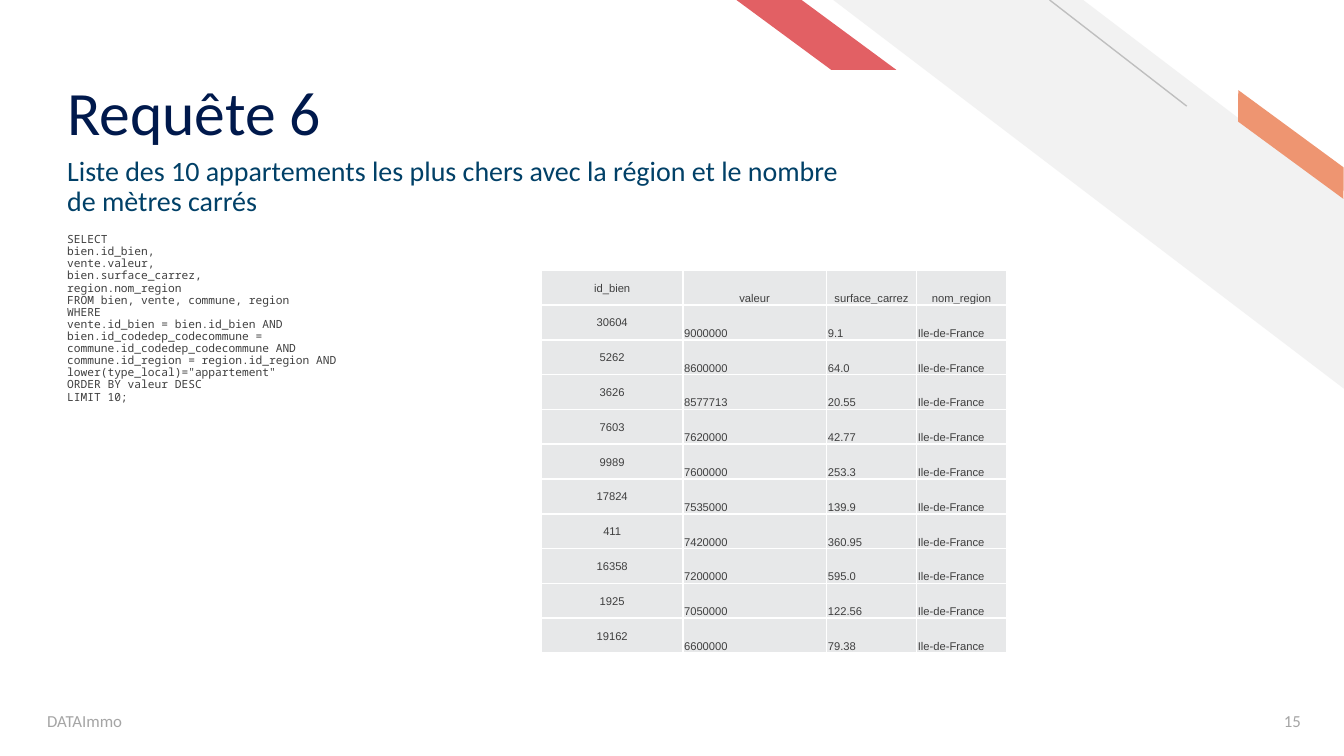
from lxml.etree import SubElement
from pptx import Presentation
from pptx.dml.color import RGBColor
from pptx.enum.shapes import MSO_CONNECTOR, MSO_SHAPE
from pptx.enum.text import MSO_ANCHOR, PP_ALIGN
from pptx.oxml.ns import qn
from pptx.util import Inches, Pt

# Content
TITLE = "Requête 6"
SUBTITLE = ("Liste des 10 appartements les plus chers avec la région "
            "et le nombre de mètres carrés")
FOOTER, PAGE = "DATAImmo", "15"
QUERY = """SELECT
bien.id_bien,
vente.valeur,
bien.surface_carrez,
region.nom_region
FROM bien, vente, commune, region
WHERE
vente.id_bien = bien.id_bien AND
bien.id_codedep_codecommune = commune.id_codedep_codecommune AND
commune.id_region = region.id_region AND
lower(type_local)="appartement"
ORDER BY valeur DESC
LIMIT 10;"""
HEADERS = ("id_bien", "valeur", "surface_carrez", "nom_region")
REGION = "Ile-de-France"
SALES = [
    ("30604", "9000000", "9.1"),
    ("5262", "8600000", "64.0"),
    ("3626", "8577713", "20.55"),
    ("7603", "7620000", "42.77"),
    ("9989", "7600000", "253.3"),
    ("17824", "7535000", "139.9"),
    ("411", "7420000", "360.95"),
    ("16358", "7200000", "595.0"),
    ("1925", "7050000", "122.56"),
    ("19162", "6600000", "79.38"),
]

# Theme: (font, size, colour) for text, plain colours for the rest
THEME = {
    "title": ("Calibri", 33, "00194C"),
    "subtitle": ("Calibri", 15, "014067"),
    "footer": ("Calibri", 9, "A5A5A5"),
    "code": ("Noto Sans Mono", 6, "3F3F3F"),
    "cell": ("Arial", 6, "3F3F3F"),
    "band": "F2F2F2", "thin_line": "BFBFBF", "orange": "EE9571",
    "red": "E26064", "cell_fill": "E7E8E9", "border": "FFFFFF",
}

# Layout, in inches, on a 16:9 slide
W = 10
H = W * 9 / 16
LEFT = 0.43
FOOT_Y, FOOT_H = 5.21, 0.3
TABLE_X, TABLE_Y, TABLE_H = 4.03, 2.01, 2.85
COL_WIDTHS = (1.05, 1.07, 0.67, 0.67)

# preset, box, adjustment, rotation, colour
STRIPES = [
    (MSO_SHAPE.DIAGONAL_STRIPE, (6.2, 0, 3.81, 2.9), 0.512, 0, "band"),
    (MSO_SHAPE.PARALLELOGRAM, (9.05, 0.98, 1.11, 0.19), 0.72, 36.3, "orange"),
    (MSO_SHAPE.PARALLELOGRAM, (5.48, 0, 1.19, 0.52), 1.356, 0, "red"),
]
# text, box, style, paragraph and frame formats
TEXTS = [
    (TITLE, (LEFT, 0.17, 6.83, 0.94), "title", {"line_spacing": 0.9},
     {"vertical_anchor": MSO_ANCHOR.BOTTOM, "margin_bottom": 0}),
    (SUBTITLE, (LEFT, 1.13, 6.04, 0.5), "subtitle", {"line_spacing": 0.9}, {}),
    (QUERY, (LEFT, 1.7, 2.77, 3.29), "code", {"line_spacing": 0.9}, {}),
    (FOOTER, (0.28, FOOT_Y, 3.38, FOOT_H), "footer", {},
     {"vertical_anchor": MSO_ANCHOR.MIDDLE}),
    (PAGE, (W - 0.86, FOOT_Y, 0.61, FOOT_H), "footer",
     {"alignment": PP_ALIGN.RIGHT}, {"vertical_anchor": MSO_ANCHOR.MIDDLE}),
]
INSETS = {"margin_left": Inches(0.07), "margin_right": Inches(0.07),
          "margin_top": Inches(0.04), "margin_bottom": Inches(0.04)}
CELL_INSETS = {"margin_left": Inches(0.01), "margin_right": Inches(0.01),
               "margin_top": Inches(0.01), "margin_bottom": 0}


def rgb(name):
    return RGBColor.from_string(THEME[name])


def apply(target, formats):
    for name, value in formats.items():
        setattr(target, name, value)


def write(tf, text, style, formats):
    font, size, colour = THEME[style]
    for i, line in enumerate(text.split("\n")):
        p = tf.add_paragraph() if i else tf.paragraphs[0]
        apply(p, formats)
        r = p.add_run()
        r.text = line
        apply(r.font, {"name": font, "size": Pt(size)})
        r.font.color.rgb = RGBColor.from_string(colour)


def add_stripe(s, preset, box, adjustment, rotation, colour):
    sp = s.shapes.add_shape(preset, *map(Inches, box))
    sp.adjustments[0] = adjustment
    sp.rotation = rotation
    sp.shadow.inherit = False
    sp.fill.solid()
    sp.fill.fore_color.rgb = rgb(colour)
    sp.line.fill.background()
    sp._element.spPr.find(qn("a:xfrm")).set("flipH", "1")


def add_thin_line(s):
    ends = map(Inches, (8.83, 0.79, 7.81, 0))
    line = s.shapes.add_connector(MSO_CONNECTOR.STRAIGHT, *ends)
    line.line.color.rgb = rgb("thin_line")
    line.line.width = Pt(0.75)
    SubElement(line._element.spPr, qn("a:effectLst"))


def add_text(s, text, box, style, paragraph, frame):
    tf = s.shapes.add_textbox(*map(Inches, box)).text_frame
    apply(tf, {"word_wrap": True, **INSETS, **frame})
    write(tf, text, style, paragraph)


def add_borders(cell):
    tc_pr = cell._tc.get_or_add_tcPr()
    for side in ("lnL", "lnR", "lnT", "lnB"):
        ln = SubElement(tc_pr, qn(f"a:{side}"), w=str(Pt(1)))
        fill = SubElement(ln, qn("a:solidFill"))
        SubElement(fill, qn("a:srgbClr"), val=THEME["border"])


def add_sales_table(s):
    rows = [HEADERS] + [(*sale, REGION) for sale in SALES]
    box = (TABLE_X, TABLE_Y, sum(COL_WIDTHS), TABLE_H)
    table = s.shapes.add_table(len(rows), len(HEADERS), *map(Inches, box)).table
    apply(table, {"first_row": False, "horz_banding": False})
    for column, width in zip(table.columns, COL_WIDTHS):
        column.width = Inches(width)
    for i, row in enumerate(rows):
        table.rows[i].height = Inches(TABLE_H / len(rows))
        for j, text in enumerate(row):
            cell = table.cell(i, j)
            anchor = MSO_ANCHOR.BOTTOM if j else MSO_ANCHOR.MIDDLE
            centred = i == 0 or j == 0
            apply(cell, {**CELL_INSETS, "vertical_anchor": anchor})
            add_borders(cell)
            cell.fill.solid()
            cell.fill.fore_color.rgb = rgb("cell_fill")
            write(cell.text_frame, text, "cell",
                  {"alignment": PP_ALIGN.CENTER if centred else PP_ALIGN.LEFT})


def main():
    prs = Presentation()
    prs.slide_width, prs.slide_height = Inches(W), Inches(H)
    s = prs.slides.add_slide(prs.slide_layouts[6])

    # Corner decoration
    for stripe in STRIPES:
        add_stripe(s, *stripe)
    add_thin_line(s)

    # Title, query and footer
    for text in TEXTS:
        add_text(s, *text)

    # Query result
    add_sales_table(s)
    prs.save("out.pptx")


if __name__ == "__main__":
    main()
